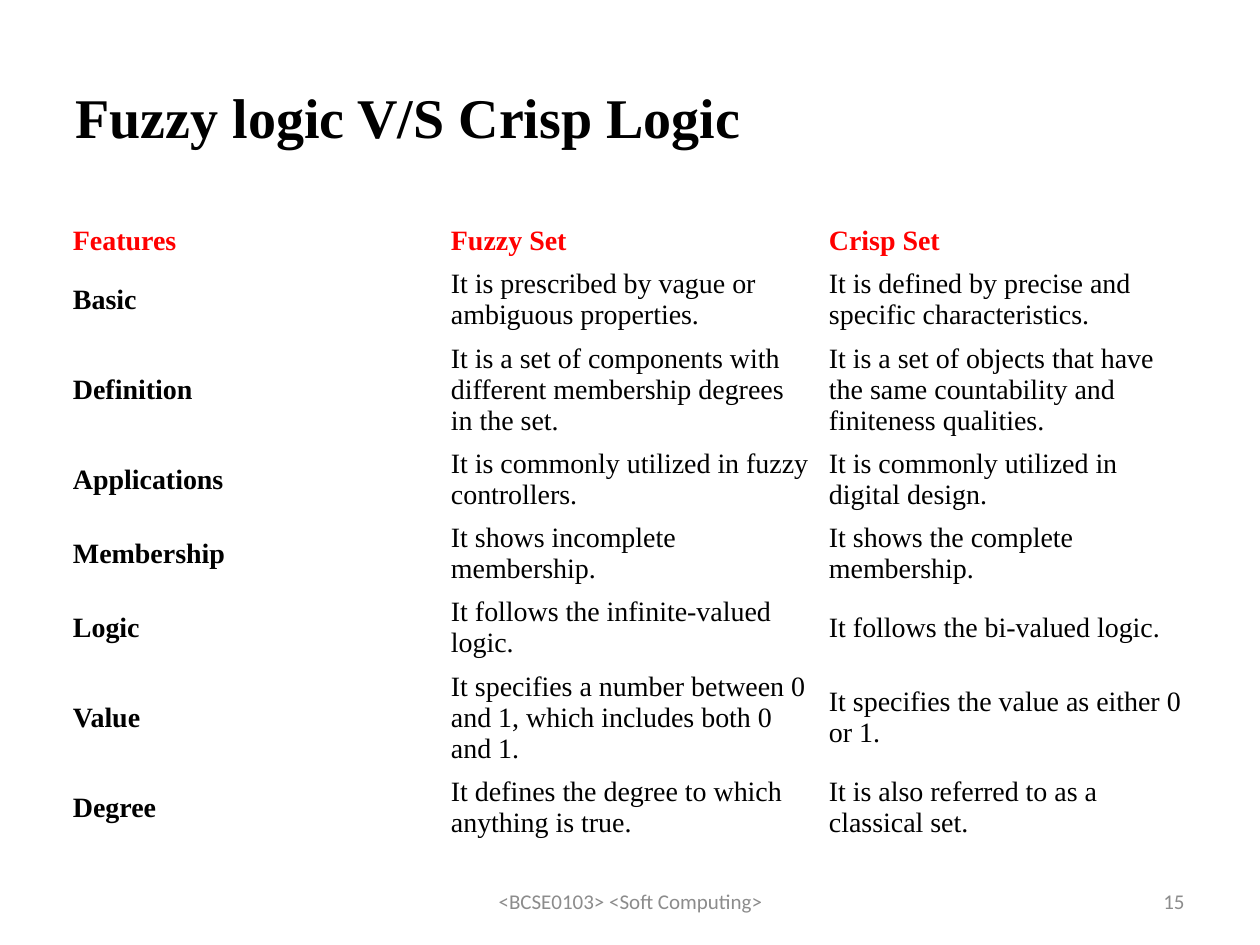
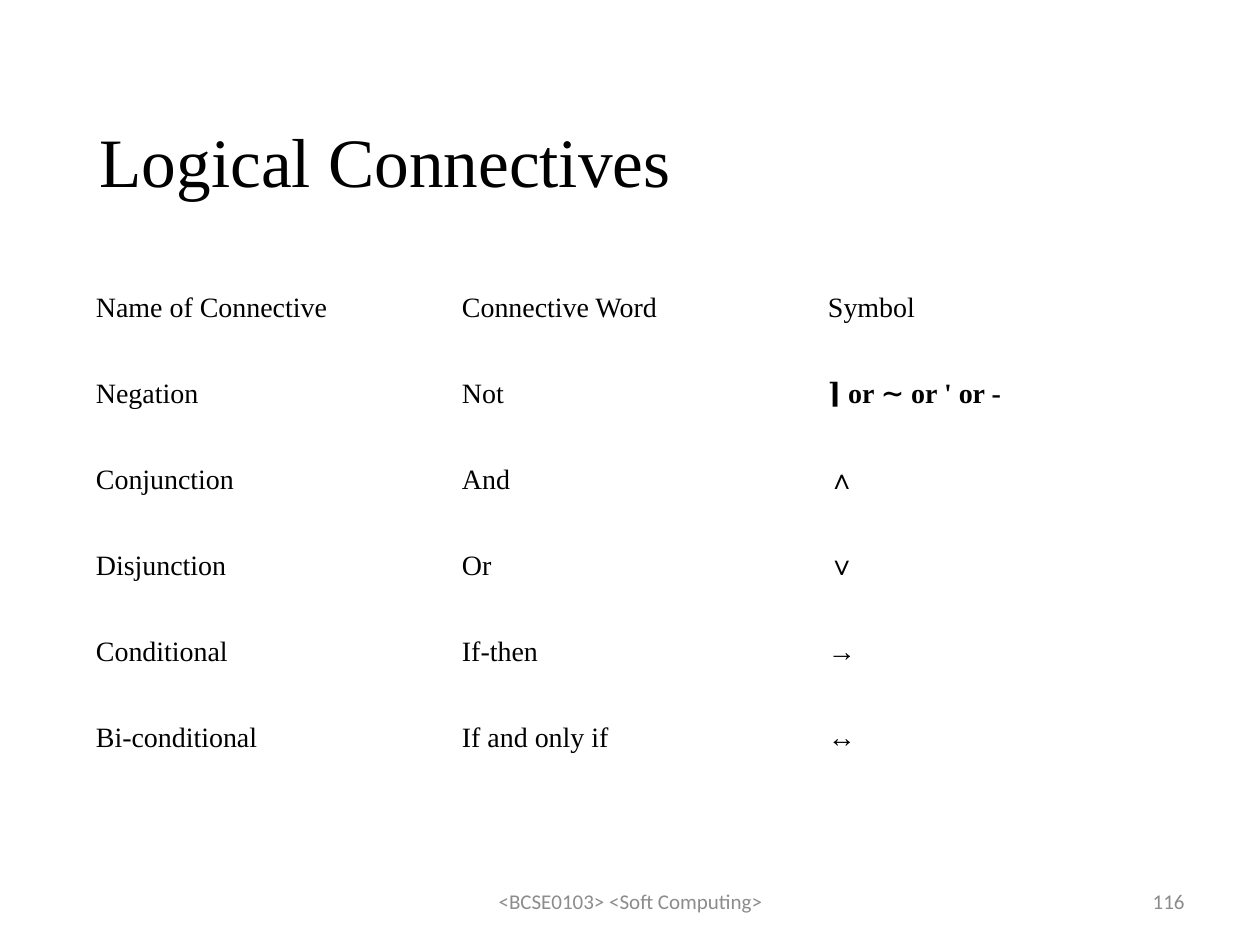
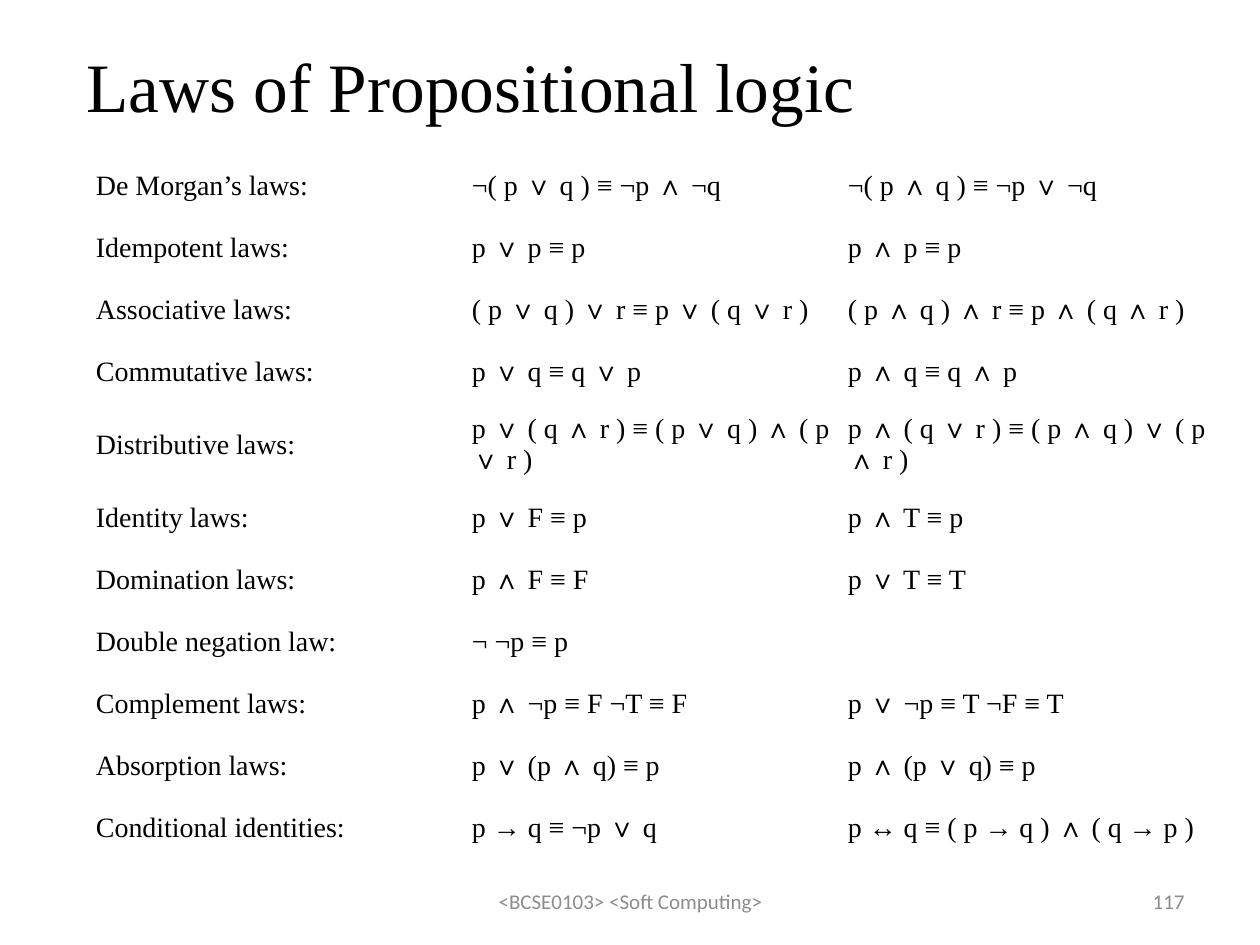
from pptx import Presentation, util as u
from pptx.dml.color import RGBColor
from pptx.enum import text

BLACK = RGBColor(0x00, 0x00, 0x00)
RED = RGBColor(0xFF, 0x00, 0x00)
GREY = RGBColor(0x8C, 0x8C, 0x8C)
SERIF, SANS = "Times New Roman", "Calibri"
COURSE = "<BCSE0103> <Soft Computing>"

# Content: lengths in px, 126 to the inch
SLIDES = [
    dict(
        title="Fuzzy logic V/S Crisp Logic", title_box=(63, 38, 1134, 157),
        title_size=32, title_bold=True, number="15",
        table_at=(63, 220), col_width=378, margin=10,
        row_heights=[43, 74, 106, 74, 74, 74, 106, 74],
        header_color=RED, header_bold=True, bold_col=0,
        rows=[
            ("Features", "Fuzzy Set", "Crisp Set"),
            ("Basic", "It is prescribed by vague or ambiguous properties.",
             "It is defined by precise and specific characteristics."),
            ("Definition",
             "It is a set of components with different membership degrees in the set.",
             "It is a set of objects that have the same countability and finiteness qualities."),
            ("Applications", "It is commonly utilized in fuzzy controllers.",
             "It is commonly utilized in digital design."),
            ("Membership", "It shows incomplete membership.",
             "It shows the complete membership."),
            ("Logic", "It follows the infinite-valued logic.",
             "It follows the bi-valued logic."),
            ("Value",
             "It specifies a number between 0 and 1, which includes both 0 and 1.",
             "It specifies the value as either 0 or 1."),
            ("Degree", "It defines the degree to which anything is true.",
             "It is also referred to as a classical set."),
        ],
    ),
    dict(
        title="Logical Connectives", title_box=(87, 118, 1086, 84),
        title_size=39.6, title_bold=False, number="116",
        table_at=(87, 265), col_width=366, margin=9,
        row_heights=[86] * 6,
        header_color=BLACK, header_bold=False, bold_col=2,
        rows=[
            ("Name of Connective", "Connective Word", "Symbol"),
            ("Negation", "Not", "⌉ or ∼ or ' or -"),
            ("Conjunction", "And", "∧"),
            ("Disjunction", "Or", "∨"),
            ("Conditional", "If-then", "→"),
            ("Bi-conditional", "If and only if", "↔"),
        ],
    ),
    dict(
        title="Laws of Propositional logic", title_box=(74, 55, 1086, 60),
        title_size=39.6, title_bold=False, number="117",
        table_at=(87, 155), col_width=376, margin=9,
        row_heights=[62] * 4 + [84] + [62] * 6,
        header_color=BLACK, header_bold=False, bold_col=None,
        rows=[
            ("De Morgan’s laws:", "¬( p ∨ q ) ≡ ¬p ∧ ¬q", "¬( p ∧ q ) ≡ ¬p ∨ ¬q"),
            ("Idempotent laws:", "p ∨ p ≡ p", "p ∧ p ≡ p"),
            ("Associative laws:", "( p ∨ q ) ∨ r ≡ p ∨ ( q ∨ r )",
             "( p ∧ q ) ∧ r ≡ p ∧ ( q ∧ r )"),
            ("Commutative laws:", "p ∨ q ≡ q ∨ p", "p ∧ q ≡ q ∧ p"),
            ("Distributive laws:", "p ∨ ( q ∧ r ) ≡ ( p ∨ q ) ∧ ( p ∨ r )",
             "p ∧ ( q ∨ r ) ≡ ( p ∧ q ) ∨ ( p ∧ r )"),
            ("Identity laws:", "p ∨ F ≡ p", "p ∧ T ≡ p"),
            ("Domination laws:", "p ∧ F ≡ F", "p ∨ T ≡ T"),
            ("Double negation law:", "¬ ¬p ≡ p", ""),
            ("Complement laws:", "p ∧ ¬p ≡ F ¬T ≡ F", "p ∨ ¬p ≡ T ¬F ≡ T"),
            ("Absorption laws:", "p ∨ (p ∧ q) ≡ p", "p ∧ (p ∨ q) ≡ p"),
            ("Conditional identities:", "p → q ≡ ¬p ∨ q",
             "p ↔ q ≡ ( p → q ) ∧ ( q → p )"),
        ],
    ),
]


def px(n):
    return u.Emu(round(n * 914400 / 126))


def write(tf, words, size, color, font=SERIF, bold=False, align=text.PP_ALIGN.LEFT):
    p = tf.paragraphs[0]
    p.text = words
    p.alignment = align
    f = p.font
    f.name, f.size, f.bold = font, u.Pt(size), bold
    f.color.rgb = color


def add_title(s, d):
    sp = s.shapes.title
    sp.left, sp.top, sp.width, sp.height = map(px, d["title_box"])
    tf = sp.text_frame
    tf.auto_size = text.MSO_AUTO_SIZE.NONE
    tf.vertical_anchor = text.MSO_ANCHOR.MIDDLE
    write(tf, d["title"], d["title_size"], BLACK, bold=d["title_bold"])


def add_table(s, d):
    rows, heights = d["rows"], d["row_heights"]
    n_cols = len(rows[0])
    left, top = d["table_at"]
    table = s.shapes.add_table(len(rows), n_cols, px(left), px(top),
                               px(d["col_width"] * n_cols), px(sum(heights))).table
    table.first_row = table.horz_banding = False
    for col in table.columns:
        col.width = px(d["col_width"])
    for i, (row, height) in enumerate(zip(rows, heights)):
        table.rows[i].height = px(height)
        color = d["header_color"] if i == 0 else BLACK
        for j, words in enumerate(row):
            cell = table.cell(i, j)
            cell.fill.background()
            cell.vertical_anchor = text.MSO_ANCHOR.MIDDLE
            cell.margin_left = cell.margin_right = px(d["margin"])
            cell.margin_top = cell.margin_bottom = px(5)
            bold = d["header_bold"] if i == 0 else j == d["bold_col"]
            write(cell.text_frame, words, 16, color, bold=bold)


def add_footer(s, number):
    for words, left, width, align in [
        (COURSE, 431, 399, text.PP_ALIGN.CENTER),
        (number, 903, 294, text.PP_ALIGN.RIGHT),
    ]:
        tf = s.shapes.add_textbox(px(left), px(876), px(width), px(50)).text_frame
        tf.word_wrap = True
        tf.vertical_anchor = text.MSO_ANCHOR.MIDDLE
        write(tf, words, 12, GREY, SANS, align=align)


def main():
    prs = Presentation()
    prs.slide_width, prs.slide_height = px(1260), px(945)
    title_only = prs.slide_layouts[5]
    for d in SLIDES:
        s = prs.slides.add_slide(title_only)
        add_title(s, d)
        add_table(s, d)
        add_footer(s, d["number"])
    prs.save("out.pptx")


if __name__ == "__main__":
    main()
